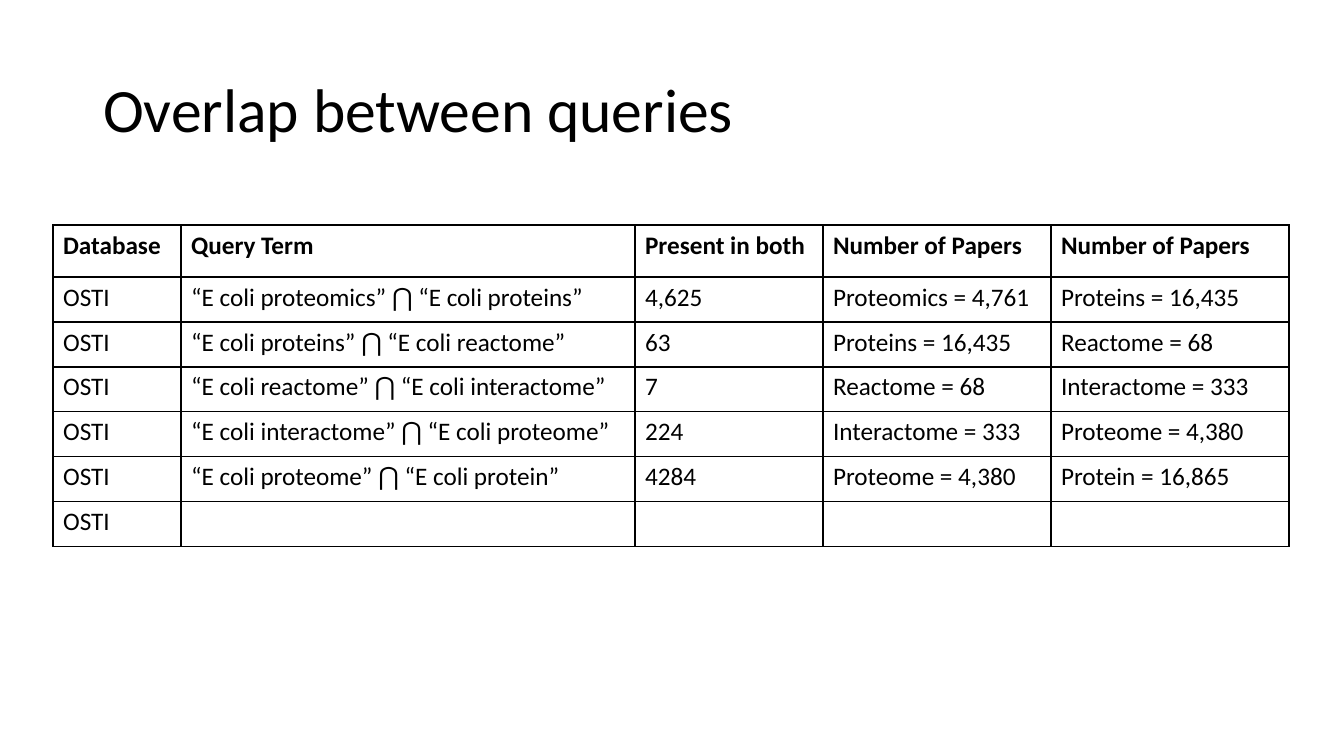
import pptx
import pptx.dml.color
import pptx.enum.text
import pptx.oxml
import pptx.oxml.ns
import pptx.util

# Content
TITLE = "Overlap between queries"
ROWS = [
    ("Database", "Query Term", "Present in both", "Number of Papers", "Number of Papers"),
    ("OSTI", "“E coli proteomics” ⋂ “E coli proteins”", "4,625", "Proteomics = 4,761", "Proteins = 16,435"),
    ("OSTI", "“E coli proteins” ⋂ “E coli reactome”", "63", "Proteins = 16,435", "Reactome = 68"),
    ("OSTI", "“E coli reactome” ⋂ “E coli interactome”", "7", "Reactome = 68", "Interactome = 333"),
    ("OSTI", "“E coli interactome” ⋂ “E coli proteome”", "224", "Interactome = 333", "Proteome = 4,380"),
    ("OSTI", "“E coli proteome” ⋂ “E coli protein”", "4284", "Proteome = 4,380", "Protein = 16,865"),
    ("OSTI", "", "", "", ""),
]

# Layout in px
SLIDE_SIZE = (1344, 756)
TITLE_BOX = (93, 40, 1159, 146)
TABLE_LEFT, TABLE_TOP = 53, 225
COLUMN_WIDTHS = (128, 454, 188, 228, 238)
HEADER_HEIGHT, ROW_HEIGHT = 52, 45
FONT = "Calibri"
BLACK = "000000"


def px(length):
    return pptx.util.Emu(round(length * 914400 / 100.8))


def color(value):
    return pptx.dml.color.RGBColor.from_string(value)


def format_text(para, size, bold=False):
    for span in para.runs:
        span.font.name = FONT
        span.font.size = pptx.util.Pt(size)
        span.font.bold = bold
        span.font.color.rgb = color(BLACK)


def add_borders(cell):
    properties = cell._tc.get_or_add_tcPr()
    namespace = pptx.oxml.ns.nsdecls("a")
    for position, side in enumerate(("lnL", "lnR", "lnT", "lnB")):
        line = pptx.oxml.parse_xml(
            f'<a:{side} {namespace} w="12700"><a:solidFill>'
            f'<a:srgbClr val="{BLACK}"/></a:solidFill></a:{side}>')
        properties.insert(position, line)


deck = pptx.Presentation()
deck.slide_width, deck.slide_height = map(px, SLIDE_SIZE)
page = deck.slides.add_slide(deck.slide_layouts[5])

# Title
title = page.shapes.title
title.left, title.top, title.width, title.height = map(px, TITLE_BOX)
title.text_frame.text = TITLE
title.text_frame.vertical_anchor = pptx.enum.text.MSO_ANCHOR.MIDDLE
title_para = title.text_frame.paragraphs[0]
title_para.alignment = pptx.enum.text.PP_ALIGN.LEFT
title_para.line_spacing = 0.9
format_text(title_para, 44)

# Query table
row_heights = [HEADER_HEIGHT] + [ROW_HEIGHT] * (len(ROWS) - 1)
table = page.shapes.add_table(
    len(ROWS), len(COLUMN_WIDTHS), px(TABLE_LEFT), px(TABLE_TOP),
    px(sum(COLUMN_WIDTHS)), px(sum(row_heights))).table
table.first_row = False
table.horz_banding = False
for column, width in zip(table.columns, COLUMN_WIDTHS):
    column.width = px(width)
for row, height in zip(table.rows, row_heights):
    row.height = px(height)

for row_index, texts in enumerate(ROWS):
    for column_index, text in enumerate(texts):
        cell = table.cell(row_index, column_index)
        cell.fill.background()
        add_borders(cell)
        para = cell.text_frame.paragraphs[0]
        if text:
            para.text = text
        format_text(para, 18, bold=row_index == 0)

deck.save("out.pptx")
